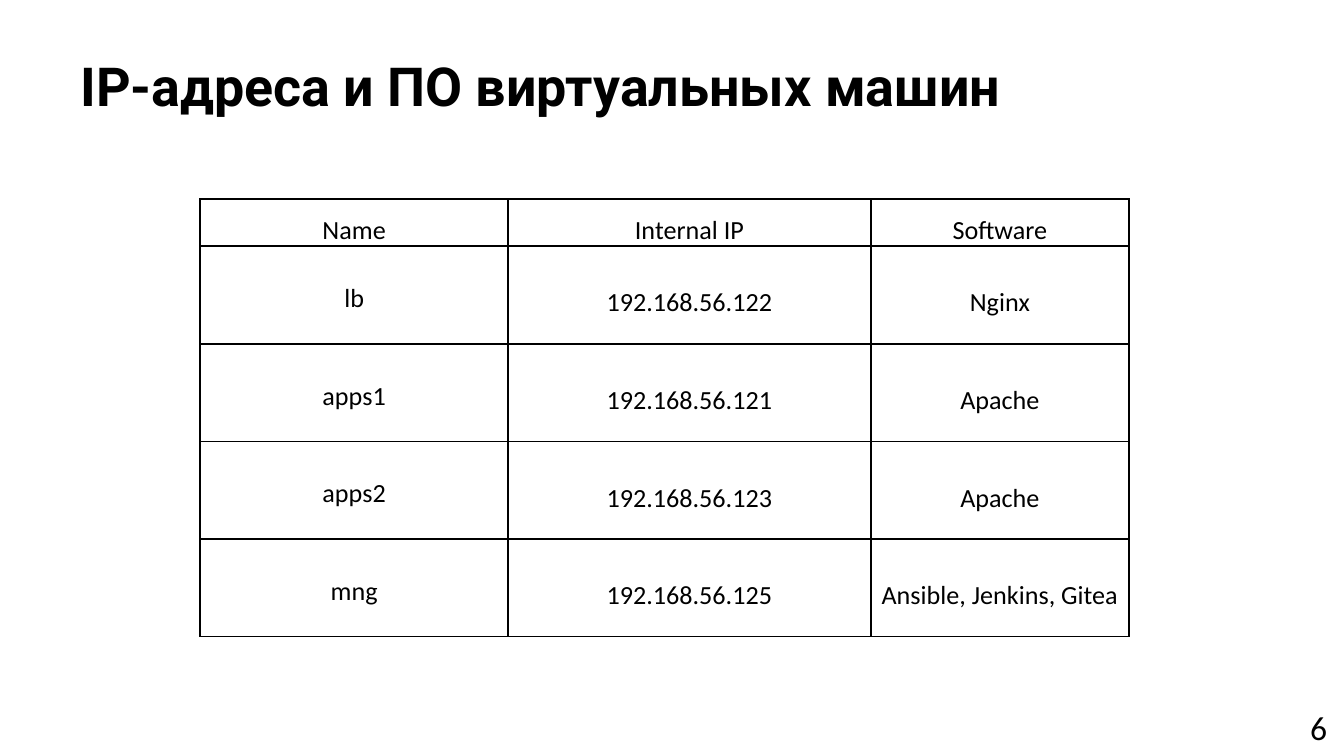
from pptx import Presentation
from pptx.dml.color import RGBColor
from pptx.enum.text import MSO_ANCHOR as Anchor, PP_ALIGN as Align
from pptx.oxml import parse_xml
from pptx.oxml.ns import nsdecls
from pptx.util import Pt

BLACK = RGBColor(0, 0, 0)
ROWS = [
    ("Name", "Internal IP", "Software"),
    ("lb", "192.168.56.122", "Nginx"),
    ("apps1", "192.168.56.121", "Apache"),
    ("apps2", "192.168.56.123", "Apache"),
    ("mng", "192.168.56.125", "Ansible, Jenkins, Gitea"),
]
WIDTHS = (164.9, 194.4, 138.2)
HEAD, BODY = 25.2, 52.3


def style(para, size, face="Calibri", bold=False):
    for run in para.runs:
        font = run.font
        font.name, font.size, font.bold = face, Pt(size), bold
        font.color.rgb = BLACK


def add_title(slide, text):
    title = slide.shapes.title
    title.left, title.top = Pt(36), Pt(24.5)
    title.width, title.height = Pt(537), Pt(41.8)
    frame = title.text_frame
    frame.text = text
    frame.vertical_anchor = Anchor.MIDDLE
    para = frame.paragraphs[0]
    para.alignment = Align.LEFT
    style(para, 28.8, "Roboto", True)


def add_number(slide, text):
    box = slide.shapes.add_textbox(Pt(694.8), Pt(375.1), Pt(25.2), Pt(29))
    frame = box.text_frame
    frame.word_wrap = True
    frame.text = text
    style(frame.paragraphs[0], 18)


def add_border(cell):
    props = cell._tc.get_or_add_tcPr()
    for side in "LRTB":
        props.append(parse_xml(
            f'<a:ln{side} {nsdecls("a")} w="{Pt(1)}"><a:solidFill>'
            f'<a:srgbClr val="{BLACK}"/></a:solidFill></a:ln{side}>'))


def fill_cell(cell, text, lift):
    cell.margin_left = cell.margin_right = Pt(5)
    cell.margin_top, cell.margin_bottom = Pt(0), Pt(lift)
    cell.vertical_anchor = Anchor.MIDDLE
    add_border(cell)
    cell.fill.background()
    cell.text_frame.text = text
    para = cell.text_frame.paragraphs[0]
    para.alignment = Align.CENTER
    para.line_spacing = 1.5
    style(para, 14)


def add_grid(slide):
    high = HEAD + BODY * (len(ROWS) - 1)
    frame = slide.shapes.add_table(
        len(ROWS), len(WIDTHS), Pt(107.3), Pt(106.6), Pt(sum(WIDTHS)), Pt(high))
    table = frame.table
    table.first_row = table.horz_banding = False
    for col, width in zip(table.columns, WIDTHS):
        col.width = Pt(width)
    for i, texts in enumerate(ROWS):
        table.rows[i].height = Pt(BODY if i else HEAD)
        for j, text in enumerate(texts):
            fill_cell(table.cell(i, j), text, 4.4 if i and j == 0 else 0)


def main():
    deck = Presentation()
    deck.slide_width, deck.slide_height = Pt(720), Pt(405)
    slide = deck.slides.add_slide(deck.slide_layouts[5])
    add_title(slide, "IP-адреса и ПО виртуальных машин")
    add_number(slide, "6")
    add_grid(slide)
    deck.save("out.pptx")


if __name__ == "__main__":
    main()
